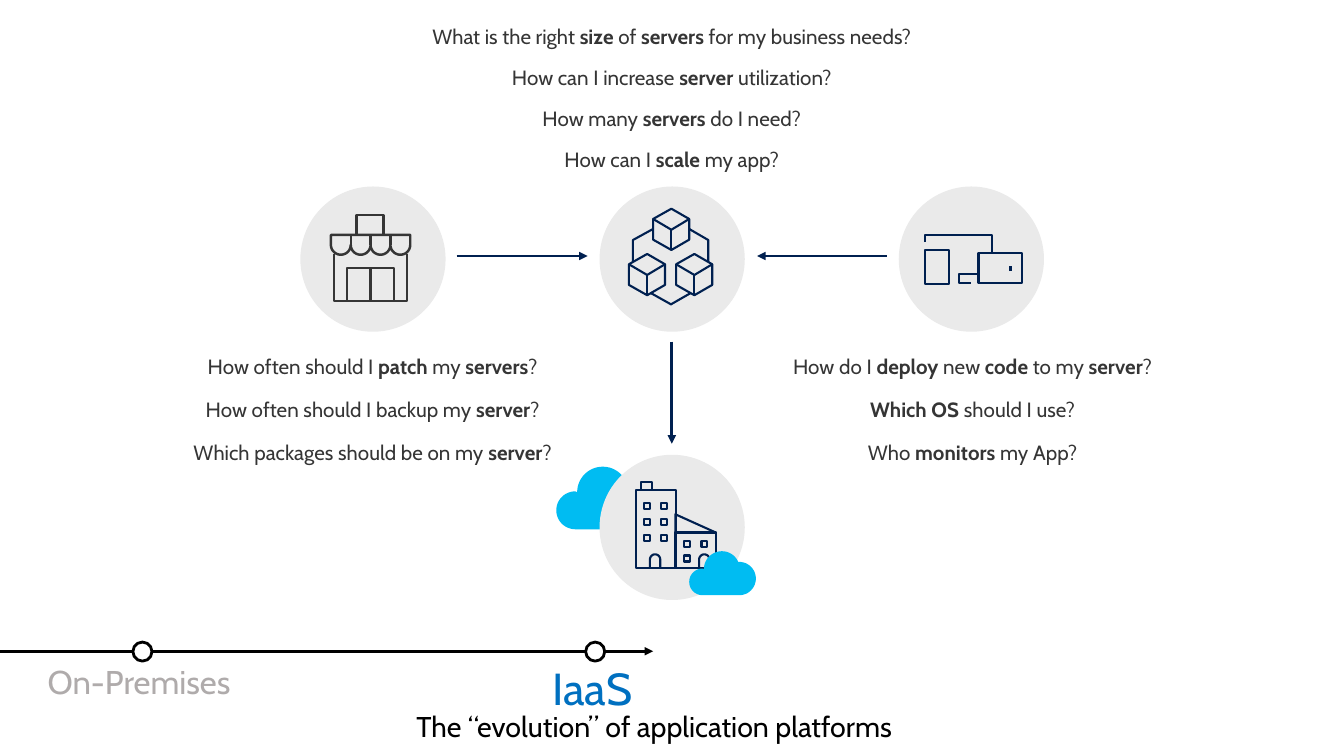
from dataclasses import dataclass
from math import cos, radians, sin

from lxml.etree import SubElement
from pptx import Presentation
from pptx.dml.color import RGBColor
from pptx.enum.shapes import MSO_CONNECTOR as Connector, MSO_SHAPE as Preset
from pptx.enum.text import MSO_ANCHOR as Anchor, MSO_AUTO_SIZE as AutoSize, PP_ALIGN as Align
from pptx.oxml.ns import qn
from pptx.util import Cm, Pt


@dataclass(frozen=True)
class Theme:
    """Colours, font and sizes of the slide."""
    font: str = "Cabin"
    black: str = "000000"
    white: str = "FFFFFF"
    ink: str = "353535"
    navy: str = "002050"
    disc: str = "EAEAEA"
    cloud: str = "00BCF2"
    past: str = "AFABAB"
    current: str = "0070C0"
    question_size: float = 14.7
    title_size: float = 20.4
    past_size: float = 23.5
    current_size: float = 32
    thin: float = 1.5
    medium: float = 1.75
    thick: float = 2


THEME = Theme()
DISC = 3.66


def paint(shape, fill=None, line=None, weight=THEME.thin):
    """Set the fill and outline of a shape and drop its shadow."""
    shape.shadow.inherit = False
    if fill:
        shape.fill.solid()
        shape.fill.fore_color.rgb = RGBColor.from_string(fill)
    else:
        shape.fill.background()
    if line:
        shape.line.color.rgb = RGBColor.from_string(line)
        shape.line.width = Pt(weight)
    else:
        shape.line.fill.background()


def add_preset(shapes, preset, left, top, width, height, **style):
    """Add a painted preset shape, measured in centimetres."""
    shape = shapes.add_shape(preset, Cm(left), Cm(top), Cm(width), Cm(height))
    paint(shape, **style)
    return shape


def add_outline(shapes, left, top, contours, closed=False, **style):
    """Add one freeform made of contours relative to a corner."""
    placed = [[(Cm(left + x), Cm(top + y)) for x, y in contour] for contour in contours]
    builder = shapes.build_freeform(*placed[0][0])
    for index, contour in enumerate(placed):
        if index:
            builder.move_to(*contour[0])
        builder.add_line_segments(contour[1:], close=closed)
    paint(builder.convert_to_shape(), **style)


def arc(x, y, radius, start, end, steps=24):
    """Return points along an arc, with angles in degrees."""
    angles = [radians(start + (end - start) * step / steps) for step in range(steps + 1)]
    return [(x + radius * cos(angle), y + radius * sin(angle)) for angle in angles]


def add_line(shapes, start, end, color, arrow=False):
    """Add a straight line, with an arrowhead at its end if wanted."""
    line = shapes.add_connector(Connector.STRAIGHT, *map(Cm, start + end))
    line.line.color.rgb = RGBColor.from_string(color)
    line.line.width = Pt(THEME.thick)
    properties = line._element.spPr
    if arrow:
        SubElement(properties.find(qn("a:ln")), qn("a:tailEnd"), type="triangle")
    SubElement(properties, qn("a:effectLst"))


def add_run(paragraph, text, size, color, bold=False):
    """Add a formatted run to a paragraph."""
    run = paragraph.add_run()
    run.text = text
    run.font.name = THEME.font
    run.font.size = Pt(size)
    run.font.bold = bold
    run.font.color.rgb = RGBColor.from_string(color)


def add_questions(slide, left, top, width, pitch, questions):
    """Stack centred questions; words between asterisks are bold."""
    for row, question in enumerate(questions):
        box = slide.shapes.add_textbox(Cm(left), Cm(top + row * pitch), Cm(width), Cm(0.89))
        box.text_frame.word_wrap = True
        paragraph = box.text_frame.paragraphs[0]
        paragraph.alignment = Align.CENTER
        for index, text in enumerate(question.split("*")):
            if text:
                add_run(paragraph, text, THEME.question_size, THEME.ink, index % 2 == 1)


def add_disc(slide, left, top):
    """Start an icon group on a grey disc and return its shapes."""
    shapes = slide.shapes.add_group_shape().shapes
    add_preset(shapes, Preset.OVAL, left, top, DISC, DISC, fill=THEME.disc)
    return shapes


def add_shop(slide, left, top):
    """Draw the shop icon."""
    shapes = add_disc(slide, left, top)
    bay, radius = 0.5, 0.25
    awning = [(0.77, 1.22)]
    for index in range(4):
        awning += arc(0.77 + bay * index + radius, 1.47, radius, 180, 0)
    awning += [(2.77, 1.22), (0.77, 1.22)]
    dividers = [[(0.77 + bay * index, 1.22), (0.77 + bay * index, 1.47)] for index in (1, 2, 3)]
    sign = [(1.42, 1.22), (1.42, 0.72), (2.1, 0.72), (2.1, 1.22)]
    walls = [(0.85, 1.7), (0.85, 2.88), (2.69, 2.88), (2.69, 1.7)]
    door = [(1.18, 2.88), (1.18, 2.06), (2.36, 2.06), (2.36, 2.88)]
    split = [(1.77, 2.06), (1.77, 2.88)]
    add_outline(shapes, left, top, [awning, *dividers, sign, walls, door, split],
                line=THEME.ink, weight=THEME.medium)


def add_cubes(slide, left, top):
    """Draw three linked cubes."""
    shapes = add_disc(slide, left, top)
    cube = [[(0, 0.26), (0.46, 0), (0.91, 0.26), (0.91, 0.78), (0.46, 1.04), (0, 0.78), (0, 0.26)],
            [(0.91, 0.26), (0.46, 0.53), (0, 0.26)],
            [(0.46, 0.53), (0.46, 1.04)]]
    for x, y in [(1.35, 0.56), (0.74, 1.7), (1.93, 1.7)]:
        add_outline(shapes, left + x, top + y, cube, line=THEME.navy)
    links = [[(1.3, 2.69), (1.8, 2.97), (2.29, 2.69)],
             [(2.26, 1.07), (2.74, 1.35), (2.74, 1.9)],
             [(0.84, 1.9), (0.84, 1.35), (1.35, 1.07)]]
    add_outline(shapes, left, top, links, line=THEME.navy)


def add_devices(slide, left, top):
    """Draw a tablet, a phone and a monitor."""
    shapes = add_disc(slide, left, top)
    for x, y, width, height in [(0.66, 1.6, 0.61, 0.86), (2.01, 1.68, 1.09, 0.76)]:
        add_preset(shapes, Preset.RECTANGLE, left + x, top + y, width, height, line=THEME.navy)
    phone = [(2.01, 2.21), (1.52, 2.21), (1.52, 2.44), (1.83, 2.44)]
    frame = [(0.66, 1.4), (0.66, 1.22), (2.36, 1.22), (2.36, 1.68)]
    add_outline(shapes, left, top, [phone, frame], line=THEME.navy)
    add_line(shapes, (left + 2.82, top + 2.13), (left + 2.82, top + 2.01), THEME.navy)


def add_buildings(slide, left, top):
    """Draw a tower with an annex."""
    shapes = add_disc(slide, left, top)
    walls = [(0.91, 0.89, 1.02, 1.96), (1.04, 0.69, 0.28, 0.2), (1.91, 1.96, 1.02, 0.89)]
    windows = [(x, 1.22 + 0.4 * row, 0.15, 0.15) for row in range(3) for x in (1.12, 1.55)]
    windows += [(x, y, 0.15, 0.15) for x, y in [(2.13, 2.18), (2.57, 2.18), (2.13, 2.54)]]
    for x, y, width, height in walls + windows:
        add_preset(shapes, Preset.RECTANGLE, left + x, top + y, width, height, line=THEME.navy)
    roof = add_preset(shapes, Preset.ISOSCELES_TRIANGLE, left + 1.91, top + 1.5, 1.02, 0.46,
                      line=THEME.navy)
    roof.adjustments[0] = 0
    doors = [[(x, 2.87), *arc(x + 0.13, 2.64, 0.13, 180, 360), (x + 0.26, 2.87)]
             for x in (1.27, 2.51)]
    add_outline(shapes, left, top, doors, line=THEME.navy)


def add_cloud(slide, left, top, width):
    """Draw a flat-bottomed cloud of the given width."""
    lobes = arc(0.49, 0.27, 0.27, 180, 337) + arc(0.75, 0.41, 0.25, 270, 450)
    lobes += arc(0.2, 0.46, 0.2, 90, 270)
    add_outline(slide.shapes, left, top, [[(x * width, y * width) for x, y in lobes]],
                closed=True, fill=THEME.cloud)


def add_timeline(slide, left, top, width):
    """Draw the timeline with its two milestones."""
    add_line(slide.shapes, (left, top), (left + width, top), THEME.black, arrow=True)
    milestones = [("On-Premises", 3.59, 0.69, 5.82, 1.73, THEME.past_size, THEME.past),
                  ("IaaS", 15, 13.41, 3.07, 2.03, THEME.current_size, THEME.current)]
    marker = 0.48
    for text, x, label_left, label_width, height, size, color in milestones:
        add_preset(slide.shapes, Preset.OVAL, left + x - marker / 2, top - marker / 2 + 0.01,
                   marker, marker, fill=THEME.white, line=THEME.black, weight=THEME.thick)
        label = slide.shapes.add_textbox(Cm(left + label_left), Cm(top - 0.03),
                                         Cm(label_width), Cm(height))
        frame = label.text_frame
        frame.word_wrap = False
        frame.auto_size = AutoSize.SHAPE_TO_FIT_TEXT
        frame.margin_left = frame.margin_right = Cm(0.51)
        frame.margin_top = frame.margin_bottom = Cm(0.41)
        frame.paragraphs[0].line_spacing = 0.9
        frame.paragraphs[0].space_after = Pt(5.9)
        add_run(frame.paragraphs[0], text, size, color)


def add_title(slide, left, top, width, height):
    """Move and format the title placeholder."""
    title = slide.shapes.title
    title.left, title.top, title.width, title.height = map(Cm, (left, top, width, height))
    frame = title.text_frame
    frame.word_wrap = True
    frame.auto_size = AutoSize.NONE
    frame.vertical_anchor = Anchor.MIDDLE
    paragraph = frame.paragraphs[0]
    paragraph.alignment = Align.LEFT
    paragraph.line_spacing = 0.7
    add_run(paragraph, "The “evolution” of application platforms", THEME.title_size, THEME.black)


def main():
    """Build and save the slide."""
    presentation = Presentation()
    presentation.slide_width, presentation.slide_height = Cm(33.87), Cm(19.05)
    slide = presentation.slides.add_slide(presentation.slide_layouts[5])
    add_timeline(slide, 0, 16.41, 16.46)
    add_questions(slide, 9.17, 0.48, 15.52, 1.03, [
        "What is the right *size* of *servers* for my business needs?",
        "How can I increase *server* utilization?",
        "How many *servers* do I need?",
        "How can I *scale* my app?"])
    add_questions(slide, 3.94, 8.79, 10.9, 1.08, [
        "How often should I *patch* my *servers*?",
        "How often should I backup my *server*?",
        "Which packages should be on my *server*?"])
    add_questions(slide, 17.78, 8.79, 13.46, 1.08, [
        "How do I *deploy* new *code* to my *server*?",
        "*Which OS *should I use?",
        "Who *monitors* my App?"])
    add_cloud(slide, 14.02, 11.76, 2.39)
    add_buildings(slide, 15.11, 11.46)
    add_cloud(slide, 17.37, 13.89, 1.68)
    for column, add_icon in enumerate([add_shop, add_cubes, add_devices]):
        add_icon(slide, 7.57 + 7.54 * column, 4.7)
    for start, end in [((11.51, 6.45), (14.81, 6.45)), ((22.35, 6.45), (19.08, 6.45)),
                       ((16.93, 8.61), (16.93, 11.18))]:
        add_line(slide.shapes, start, end, THEME.navy, arrow=True)
    add_title(slide, 10.24, 17.96, 13.18, 0.89)
    presentation.save("out.pptx")


if __name__ == "__main__":
    main()
